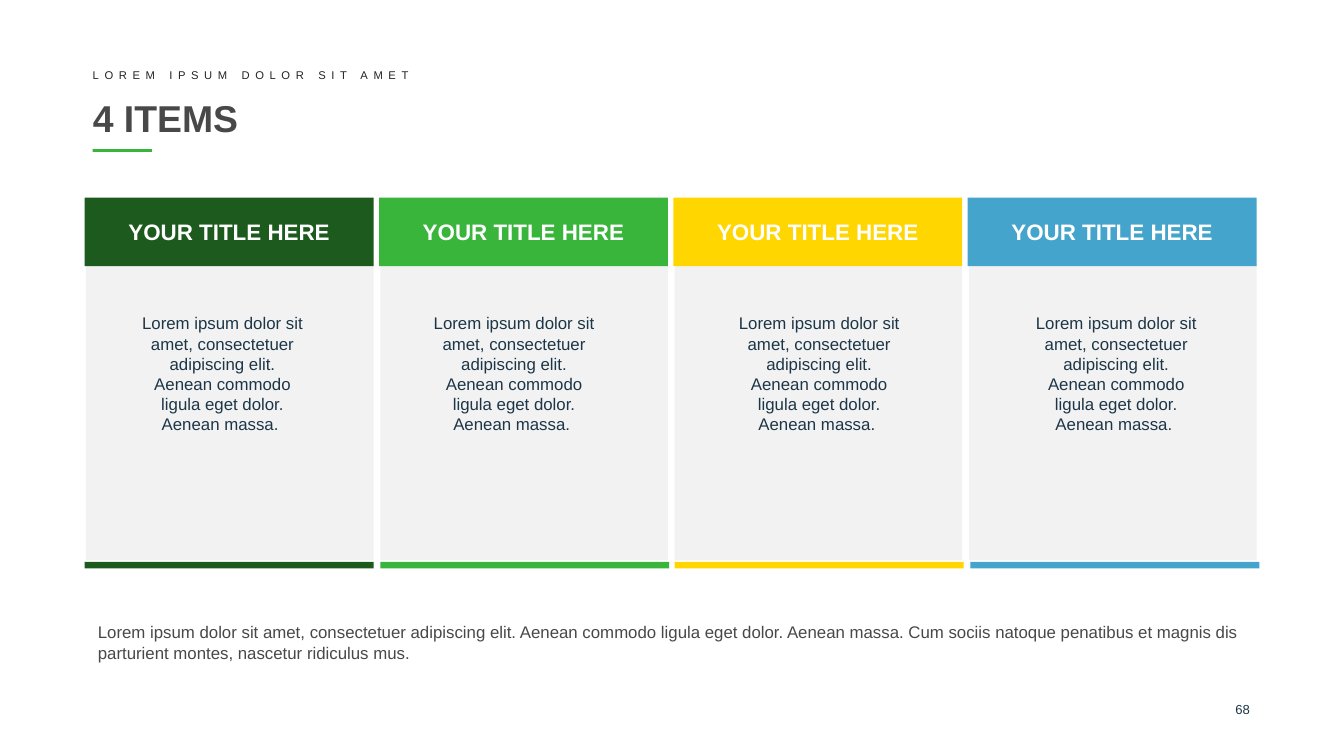
from pptx import Presentation
from pptx.dml.color import RGBColor
from pptx.enum.shapes import MSO_SHAPE
from pptx.enum.text import MSO_ANCHOR, PP_ALIGN
from pptx.util import Inches, Pt

WHITE = RGBColor(0xFF, 0xFF, 0xFF)
PALE = RGBColor(0xF2, 0xF2, 0xF2)
GRAY = RGBColor(0x48, 0x48, 0x48)
BLACK = RGBColor(0x24, 0x24, 0x24)
NAVY = RGBColor(0x1D, 0x36, 0x47)
FOREST = RGBColor(0x1C, 0x5A, 0x1E)
GREEN = RGBColor(0x39, 0xB5, 0x3C)
YELLOW = RGBColor(0xFF, 0xD6, 0x00)
BLUE = RGBColor(0x45, 0xA4, 0xCC)

LOREM = ("Lorem ipsum dolor sit amet, consectetuer adipiscing elit. "
         "Aenean commodo ligula eget dolor. Aenean massa. ")
# Card colour, inset of its body text, inset of its bottom bar
CARDS = [(FOREST, 0.31, 0), (GREEN, 0.29, 0.01),
         (YELLOW, 0.37, 0.01), (BLUE, 0.39, 0.02)]
PITCH = 2.19


def add_rect(slide, left, top, width, height, color):
    rect = slide.shapes.add_shape(
        MSO_SHAPE.RECTANGLE, Inches(left), Inches(top), Inches(width), Inches(height))
    rect.shadow.inherit = False
    rect.fill.solid()
    rect.fill.fore_color.rgb = color
    rect.line.fill.background()
    return rect


def write(shape, text, size, color, bold=False, align=PP_ALIGN.LEFT,
          anchor=MSO_ANCHOR.TOP, inset=True):
    frame = shape.text_frame
    frame.word_wrap = True
    frame.vertical_anchor = anchor
    if not inset:
        frame.margin_left = frame.margin_right = 0
        frame.margin_top = frame.margin_bottom = 0
    para = frame.paragraphs[0]
    para.alignment = align
    run = para.add_run()
    run.text = text
    font = run.font
    font.name, font.size, font.bold = "Arial", Pt(size), bold
    font.color.rgb = color
    return run


def add_text(slide, left, top, width, height, *args, **style):
    box = slide.shapes.add_textbox(
        Inches(left), Inches(top), Inches(width), Inches(height))
    return write(box, *args, **style)


def add_header(slide, left, top):
    label = add_text(slide, left, top, 7.17, 0.1, "LOREM IPSUM DOLOR SIT AMET",
                     6, BLACK, anchor=MSO_ANCHOR.MIDDLE, inset=False)
    label.font._element.set("spc", "300")
    add_text(slide, left, top + 0.18, 8.62, 0.37, "4 ITEMS", 20, GRAY,
             bold=True, anchor=MSO_ANCHOR.MIDDLE, inset=False)
    add_rect(slide, left, top + 0.6, 0.44, 0.02, GREEN)


def add_card(slide, left, top, color, indent, shift):
    add_rect(slide, left + 0.01, top + 0.49, 2.14, 2.21, PALE)
    head = add_rect(slide, left, top, 2.15, 0.51, color)
    write(head, "YOUR TITLE HERE", 12, WHITE, bold=True,
          align=PP_ALIGN.CENTER, anchor=MSO_ANCHOR.MIDDLE)
    add_rect(slide, left + shift, top + 2.71, 2.15, 0.05, color)
    add_text(slide, left + indent, top + 0.81, 1.43, 1.01, LOREM, 9, NAVY,
             align=PP_ALIGN.CENTER)


def add_footer(slide, left, top):
    add_text(slide, left, top, 8.74, 0.4,
             LOREM + "Cum sociis natoque penatibus et magnis dis parturient "
             "montes, nascetur ridiculus mus. ", 9, GRAY)
    add_text(slide, left + 8.24, top + 0.64, 0.43, 0.16, "68", 7, NAVY,
             align=PP_ALIGN.RIGHT, inset=False)


def main():
    deck = Presentation()
    deck.slide_width = Inches(10)
    deck.slide_height = deck.slide_width * 9 // 16
    slide = deck.slides.add_slide(deck.slide_layouts[6])
    add_header(slide, 0.69, 0.51)
    for i, (color, indent, shift) in enumerate(CARDS):
        add_card(slide, 0.63 + i * PITCH, 1.47, color, indent, shift)
    add_footer(slide, 0.63, 4.58)
    deck.save("out.pptx")


if __name__ == "__main__":
    main()
